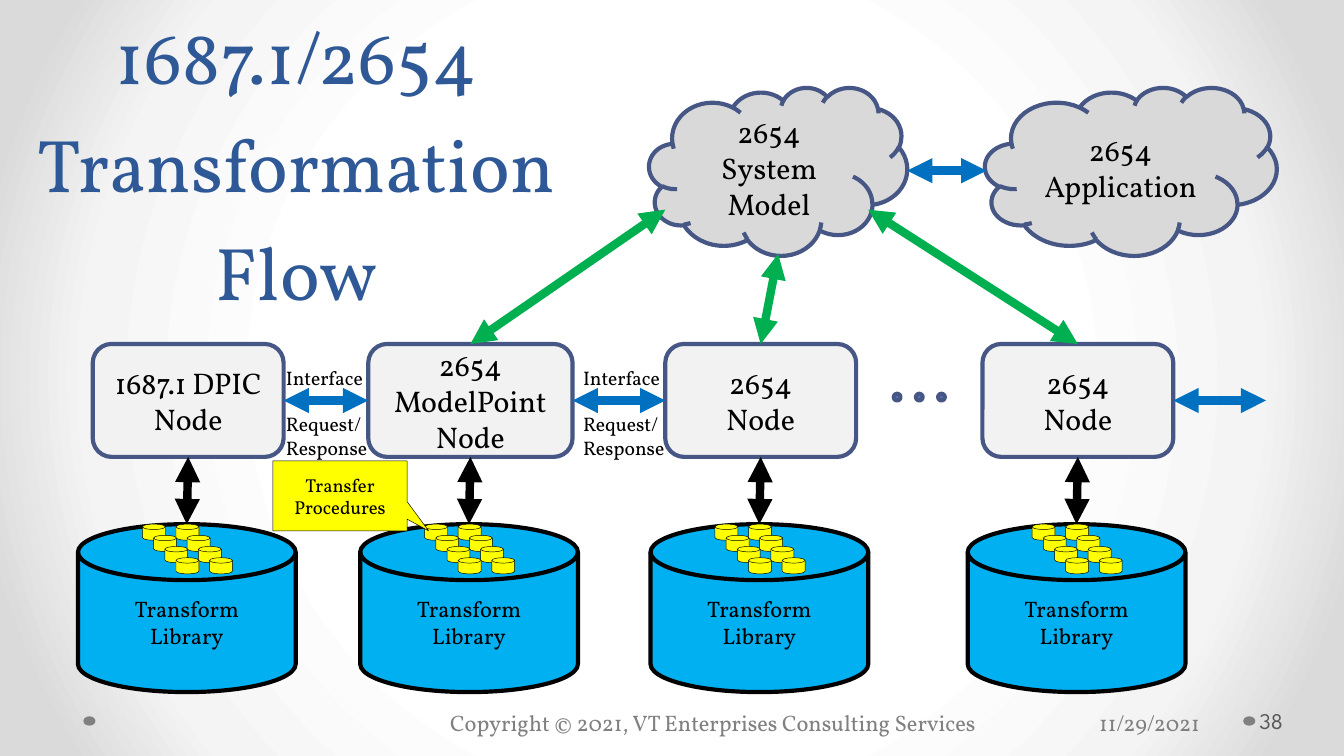
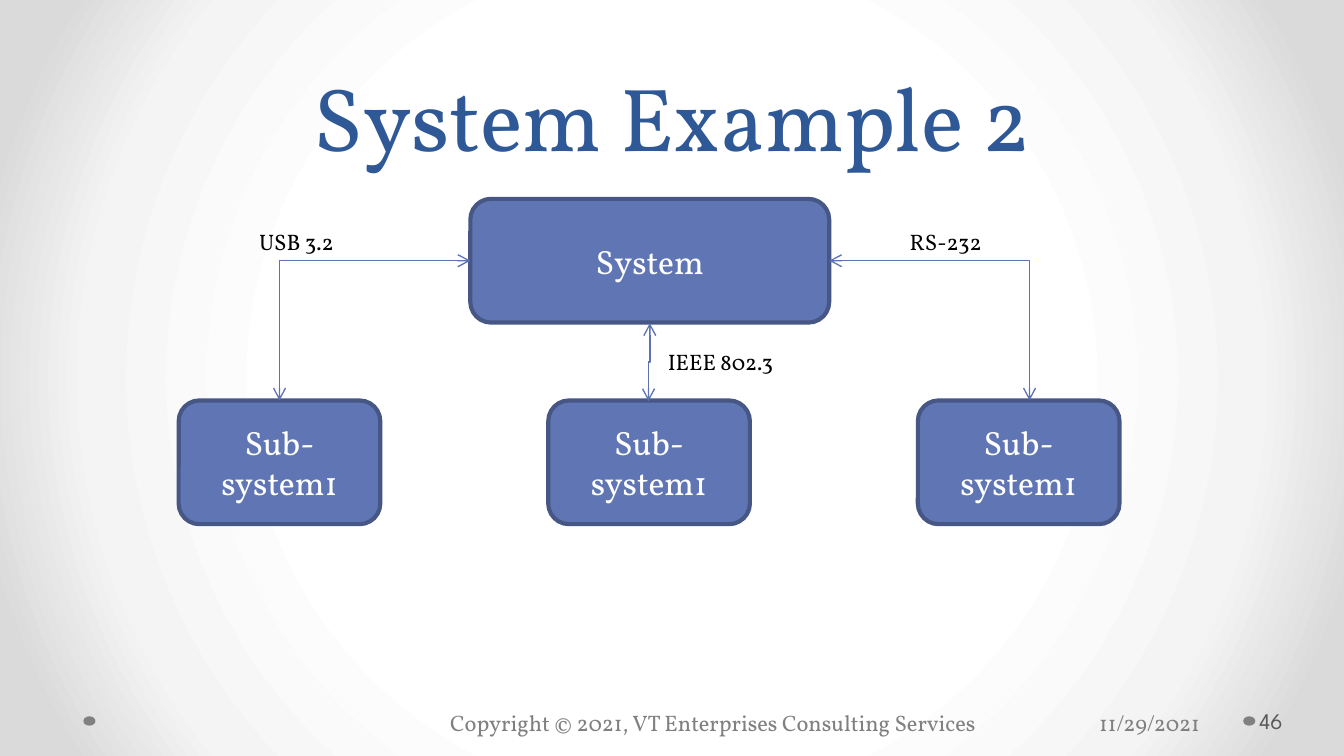
from lxml import etree
from pptx import Presentation
from pptx.dml.color import RGBColor
from pptx.enum import shapes as kinds, text as modes
from pptx.oxml import ns
from pptx.util import Inches, Pt

BLACK = RGBColor(0x00, 0x00, 0x00)
WHITE = RGBColor(0xFF, 0xFF, 0xFF)
TITLE_BLUE = RGBColor(0x2F, 0x58, 0x97)
FOOTER_GRAY = RGBColor(0x80, 0x80, 0x80)
NUMBER_GRAY = RGBColor(0x59, 0x59, 0x59)
OUTLINE = RGBColor(0x47, 0x57, 0x85)
SYSTEM_BLUE = RGBColor(0x60, 0x76, 0xB4)
LINK_BLUE = RGBColor(0x5C, 0x72, 0xB2)
NODE_GRAY = RGBColor(0xF2, 0xF2, 0xF2)
CLOUD_GRAY = RGBColor(0xD9, 0xD9, 0xD9)
LIBRARY_BLUE = RGBColor(0x00, 0xB0, 0xF0)
INTERFACE_BLUE = RGBColor(0x00, 0x70, 0xC0)
MODEL_GREEN = RGBColor(0x00, 0xB0, 0x50)
YELLOW = RGBColor(0xFF, 0xFF, 0x00)
BACKDROP = [(50, WHITE), (76, RGBColor(0xF4, 0xF4, 0xF4)), (92, RGBColor(0xDA, 0xDA, 0xDA))]

SERIF = "Vollkorn"
SANS = "League Spartan"
SHAPE = kinds.MSO_SHAPE
CONNECTOR = kinds.MSO_CONNECTOR
ALIGN = modes.PP_ALIGN
MIDDLE = modes.MSO_ANCHOR.MIDDLE


# Basic parts

def inches(box):
    return [Inches(value) for value in box]


def add_text(paragraph, wording, size, color, font=SERIF):
    for index, line in enumerate(wording.split("\n")):
        if index:
            paragraph.add_line_break()
        run = paragraph.add_run()
        run.text = line
        run.font.name = font
        run.font.size = Pt(size)
        run.font.color.rgb = color


def add_label(slide, box, wording, size, color=BLACK, font=SERIF):
    label = slide.shapes.add_textbox(*inches(box))
    label.text_frame.word_wrap = True
    add_text(label.text_frame.paragraphs[0], wording, size, color, font)
    return label


def add_figure(shapes, kind, box, fill, outline=None, weight=2.25,
               wording=None, size=16, color=BLACK):
    figure = shapes.add_shape(kind, *inches(box))
    figure.shadow.inherit = False
    figure.fill.solid()
    figure.fill.fore_color.rgb = fill
    if outline is None:
        figure.line.fill.background()
    else:
        figure.line.color.rgb = outline
        figure.line.width = Pt(weight)
    if wording:
        frame = figure.text_frame
        frame.word_wrap = True
        frame.vertical_anchor = MIDDLE
        frame.paragraphs[0].alignment = ALIGN.CENTER
        add_text(frame.paragraphs[0], wording, size, color)
    return figure


def add_arrow(slide, start, end, color, weight=4.5, head="triangle",
              kind=CONNECTOR.STRAIGHT):
    """Draw a connector with the same head at both ends."""
    arrow = slide.shapes.add_connector(kind, *inches(start), *inches(end))
    arrow.line.color.rgb = color
    arrow.line.width = Pt(weight)
    line = arrow.get_or_add_ln()
    for end_name in ("a:headEnd", "a:tailEnd"):
        etree.SubElement(line, ns.qn(end_name), type=head)
    etree.SubElement(arrow.element.spPr, ns.qn("a:effectLst"))
    return arrow


# Shared by both slides

def paint_backdrop(master):
    master.background.fill.gradient()
    gradient = master.element.find(".//" + ns.qn("a:gradFill"))
    for child in list(gradient):
        gradient.remove(child)
    stops = etree.SubElement(gradient, ns.qn("a:gsLst"))
    for position, color in BACKDROP:
        stop = etree.SubElement(stops, ns.qn("a:gs"), pos=str(position * 1000))
        etree.SubElement(stop, ns.qn("a:srgbClr"), val=str(color))
    circle = etree.SubElement(gradient, ns.qn("a:path"), path="circle")
    etree.SubElement(circle, ns.qn("a:fillToRect"),
                     {side: "50000" for side in "ltrb"})


def add_footer(slide, number, top=5.21):
    for left in (9.25, 0.62):
        add_figure(slide.shapes, SHAPE.OVAL, (left, top + 0.12, 0.09, 0.07), FOOTER_GRAY)
    add_label(slide, (3.25, top + 0.02, 4.25, 0.3),
              "Copyright © 2021, VT Enterprises Consulting Services", 12, FOOTER_GRAY)
    add_label(slide, (8.08, top + 0.02, 1.16, 0.28), "11/29/2021", 12, FOOTER_GRAY)
    page = add_label(slide, (9.34, top, 0.61, 0.3), number, 12, NUMBER_GRAY, SANS)
    frame = page.text_frame
    frame.vertical_anchor = MIDDLE
    frame.margin_left = Inches(0.03)
    frame.margin_right = Inches(0.05)


def start_slide(presentation, title, box, size, number):
    slide = presentation.slides.add_slide(presentation.slide_layouts[5])
    heading = slide.shapes.title
    heading.left, heading.top, heading.width, heading.height = inches(box)
    frame = heading.text_frame
    frame.word_wrap = True
    frame.auto_size = modes.MSO_AUTO_SIZE.NONE
    frame.vertical_anchor = modes.MSO_ANCHOR.BOTTOM
    paragraph = frame.paragraphs[0]
    paragraph.alignment = ALIGN.CENTER
    paragraph.line_spacing = Pt(58)
    add_text(paragraph, title, size, TITLE_BLUE)
    add_footer(slide, number)
    return slide


# Transformation flow

def add_library(slide, left, top):
    add_figure(slide.shapes, SHAPE.FLOWCHART_MAGNETIC_DISK, (left, top, 1.62, 1.25),
               LIBRARY_BLUE, BLACK, wording="Transform\nLibrary", size=12)
    procedures = slide.shapes.add_group_shape()
    step = 0.25 / 3
    for column in range(2):
        for row in range(4):
            box = (left + 0.48 + column * 0.25 + row * step, top + row * step, 0.17, 0.12)
            add_figure(procedures.shapes, SHAPE.FLOWCHART_MAGNETIC_DISK, box,
                       YELLOW, BLACK, 0.25)


def add_node(slide, box, wording):
    """Draw a node with its transform library below it."""
    left, top, width, height = box
    center, bottom, library_top = left + width / 2, top + height, top + 1.34
    add_figure(slide.shapes, SHAPE.ROUNDED_RECTANGLE, box, NODE_GRAY, OUTLINE,
               wording=wording)
    add_library(slide, center - 0.82, library_top)
    add_arrow(slide, (center, bottom), (center - 0.01, library_top), BLACK)


def add_interface(slide, left, right, y, label_left):
    add_arrow(slide, (left, y), (right, y), INTERFACE_BLUE)
    label = add_label(slide, (label_left, y - 0.31, 0.83, 0.81), "Interface", 10.5)
    exchange = label.text_frame.add_paragraph()
    exchange.space_before = Pt(12.5)
    add_text(exchange, "Request/\nResponse", 10.5, BLACK)


def add_ellipsis(slide, left, top):
    dots = slide.shapes.add_group_shape()
    for index in range(3):
        add_figure(dots.shapes, SHAPE.OVAL, (left + index * 0.165, top, 0.05, 0.05),
                   SYSTEM_BLUE, OUTLINE)


def add_clouds(slide, top):
    for left, width, wording in ((4.83, 1.92, "2654 System Model"),
                                 (7.33, 2.17, "2654\nApplication")):
        add_figure(slide.shapes, SHAPE.CLOUD, (left, top, width, 1.25),
                   CLOUD_GRAY, OUTLINE, wording=wording)
    middle = top + 0.62
    add_arrow(slide, (6.75, middle), (7.34, middle), INTERFACE_BLUE)


def build_flow(presentation):
    slide = start_slide(presentation, "1687.1/2654 Transformation Flow",
                        (0.17, 0, 4.07, 2.4), 40, "38")
    top, height = 2.56, 0.84
    middle = top + height / 2
    nodes = [(0.69, 1.42, "1687.1 DPIC Node"), (2.74, 1.52, "2654 ModelPoint Node"),
             (4.95, 1.42, "2654\nNode"), (7.31, 1.42, "2654\nNode")]
    for left, width, wording in nodes:
        add_node(slide, (left, top, width, height), wording)

    # Links along the row of nodes
    for (left, width, _), (next_left, _, _), label_left in zip(
            nodes, nodes[1:], (2.03, 4.24)):
        add_interface(slide, left + width, next_left, middle, label_left)
    add_ellipsis(slide, 6.65, middle - 0.05)
    add_arrow(slide, (8.73, middle), (9.42, middle), INTERFACE_BLUE)

    callout = add_figure(slide.shapes, SHAPE.RECTANGULAR_CALLOUT, (2.03, 3.43, 1, 0.52),
                         YELLOW, BLACK, 0.25, "Transfer\nProcedures", 10)
    callout.adjustments[0] = 0.66
    callout.adjustments[1] = 0.5

    # Links from the nodes up to the system model
    add_clouds(slide, 0.65)
    model_ends = [(4.95, 1.56), (5.79, 1.89), (6.46, 1.56)]
    for (left, width, _), end in zip(nodes[1:], model_ends):
        add_arrow(slide, (left + width / 2, top), end, MODEL_GREEN)


# System example

def add_system_box(slide, box, wording):
    add_figure(slide.shapes, SHAPE.ROUNDED_RECTANGLE, box, SYSTEM_BLUE, OUTLINE,
               wording=wording, size=18, color=WHITE)


def add_elbow(slide, start, end):
    return add_arrow(slide, start, end, LINK_BLUE, 0.75, "arrow", CONNECTOR.ELBOW)


def build_system(presentation):
    slide = start_slide(presentation, "System Example 2", (0.5, 0, 9, 1.31), 48, "46")
    left, top, width, height = 3.5, 1.48, 2.67, 0.92
    middle, bottom, child_top = top + height / 2, top + height, 2.98
    add_system_box(slide, (left, top, width, height), "System")
    for index in range(3):
        add_system_box(slide, (1.33 + index * 2.75, child_top, 1.5, height), "Sub-system1")

    # Outer links turn one corner
    for start, child_center in ((left, 2.08), (left + width, 7.66)):
        elbow = add_elbow(slide, (start, middle), (child_center, child_top))
        elbow.element.spPr.find(ns.qn("a:prstGeom")).set("prst", "bentConnector2")

    # The middle link is laid flat and turned upright about its centre
    center, center_y, half = 4.83, (bottom + child_top) / 2, (child_top - bottom) / 2
    upright = add_elbow(slide, (center - half, center_y), (center + half, center_y + 0.01))
    upright.element.spPr.find(ns.qn("a:xfrm")).set("rot", str(90 * 60000))

    for label_left, label_top, label_width, wording in (
            (1.83, 1.65, 1.25, "USB 3.2"),
            (4.87, 2.54, 1.25, "IEEE 802.3"),
            (6.67, 1.65, 1.42, "RS-232")):
        add_label(slide, (label_left, label_top, label_width, 0.3), wording, 12)


def main():
    presentation = Presentation()
    presentation.slide_width = Inches(10)
    presentation.slide_height = Inches(10) * 9 // 16
    paint_backdrop(presentation.slide_master)
    build_flow(presentation)
    build_system(presentation)
    presentation.save("out.pptx")


if __name__ == "__main__":
    main()
